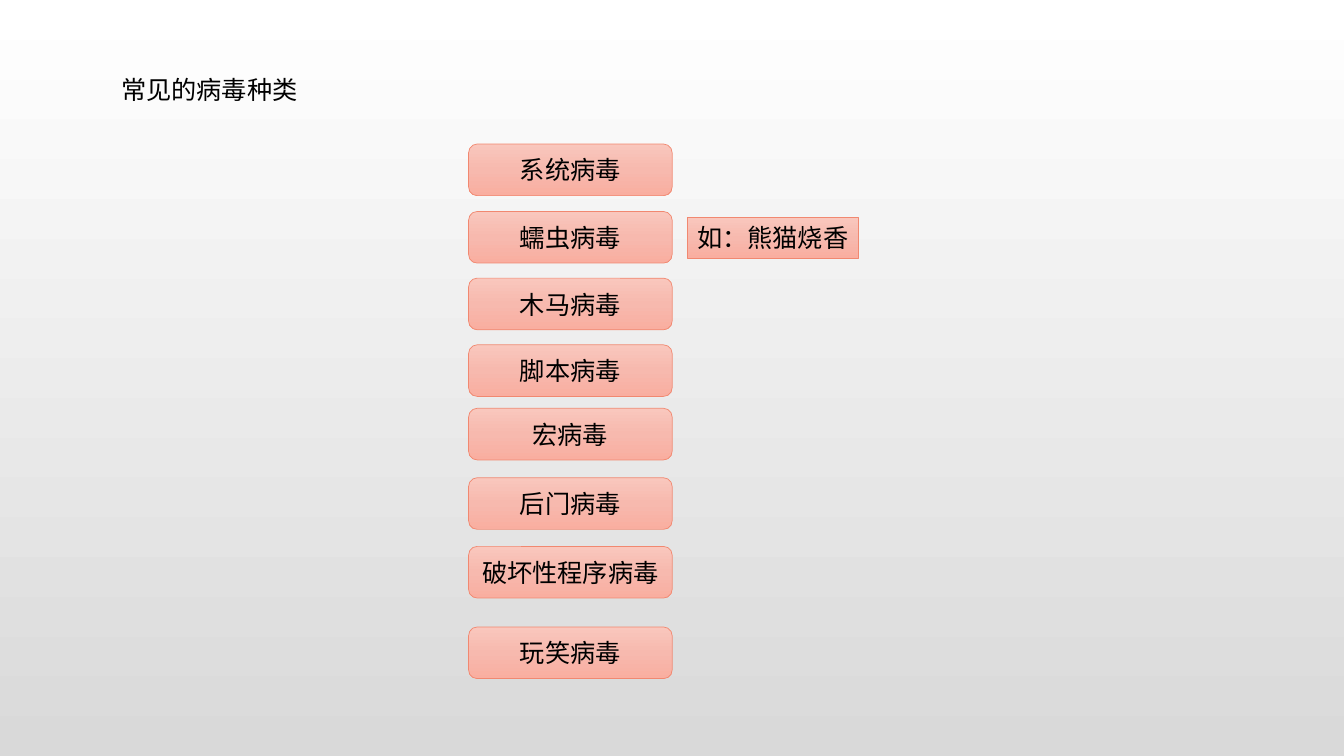
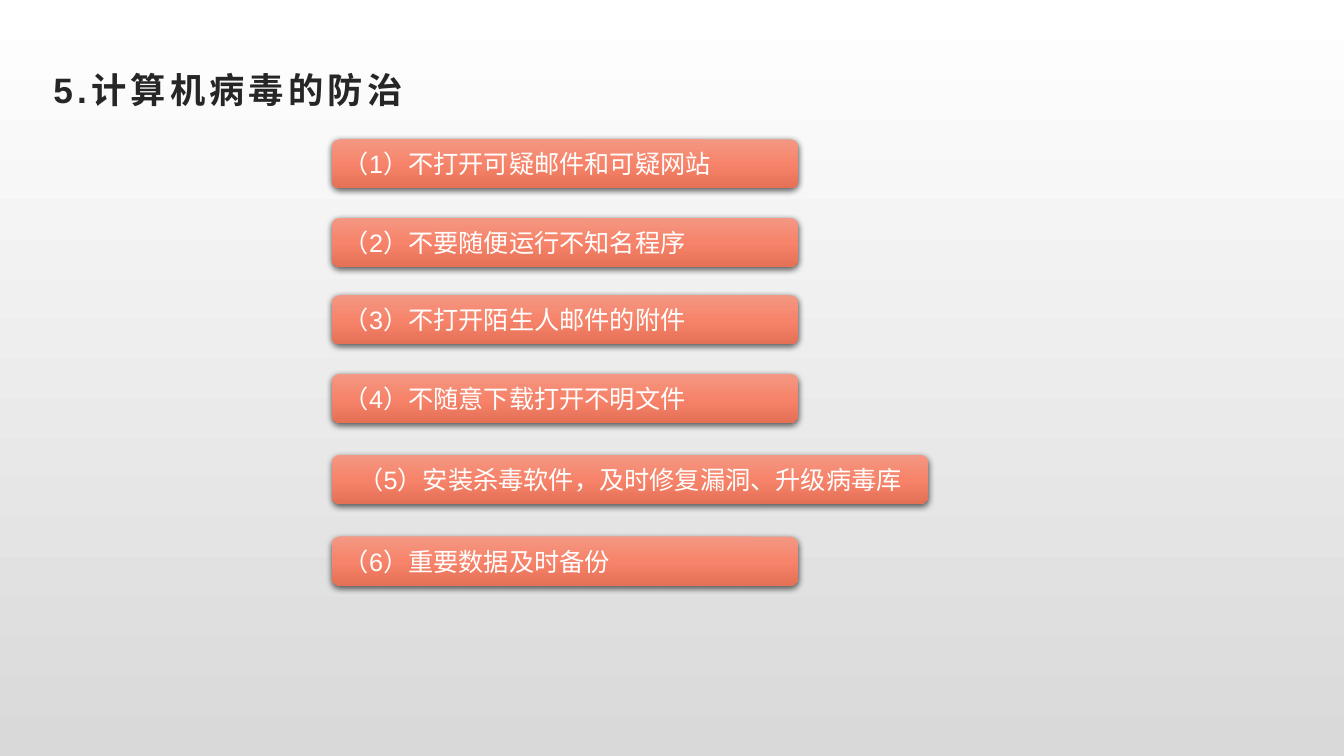
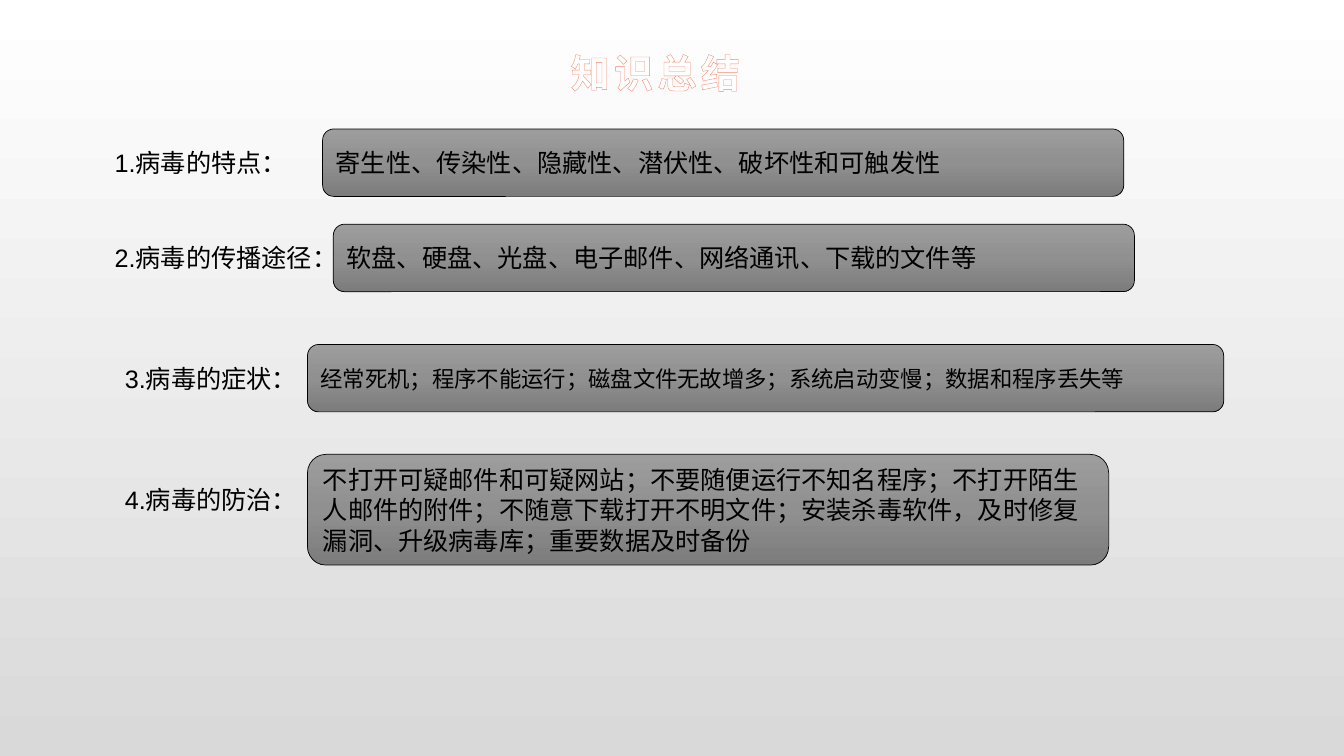
from copy import deepcopy
from dataclasses import dataclass
from typing import Optional

from pptx import Presentation
from pptx.dml.color import RGBColor
from pptx.enum.lang import MSO_LANGUAGE_ID as Lang
from pptx.enum.shapes import MSO_SHAPE as Preset
from pptx.enum.text import MSO_ANCHOR as Anchor, MSO_AUTO_SIZE as AutoSize, PP_ALIGN as Align
from pptx.oxml import parse_xml
from pptx.oxml.ns import nsdecls, qn
from pptx.util import Cm, Pt

# Colours
BLACK = RGBColor(0x00, 0x00, 0x00)
WHITE = RGBColor(0xFF, 0xFF, 0xFF)
CHARCOAL = RGBColor(0x26, 0x26, 0x26)
SILVER = RGBColor(0xD9, 0xD9, 0xD9)
CORAL = RGBColor(0xF1, 0x88, 0x70)
PAGE = (WHITE, SILVER)
PALE_CORAL = (RGBColor(0xF9, 0xC7, 0xBD), RGBColor(0xF7, 0xB9, 0xAE), RGBColor(0xF9, 0xAE, 0xA0))
STRONG_CORAL = (RGBColor(0xF4, 0x97, 0x83), RGBColor(0xF7, 0x84, 0x6A), RGBColor(0xE4, 0x70, 0x56))
GREY = (RGBColor(0x9D, 0x9D, 0x9D), RGBColor(0x90, 0x90, 0x90), RGBColor(0x7C, 0x7C, 0x7C))

FONT = "Arial"
BODY_SIZE = 18
TITLE_ONLY = 5


@dataclass(frozen=True)
class Box:
    """Place of a part, in centimetres."""
    left: float
    top: float
    width: float
    height: float

    def lengths(self):
        return Cm(self.left), Cm(self.top), Cm(self.width), Cm(self.height)


@dataclass(frozen=True)
class TextStyle:
    color: RGBColor = BLACK
    size: float = BODY_SIZE
    align: Align = Align.LEFT
    bold: bool = False
    spacing: float = 0
    outline: Optional[RGBColor] = None


@dataclass(frozen=True)
class PanelStyle:
    stops: tuple
    preset: Preset = Preset.FLOWCHART_ALTERNATE_PROCESS
    line: Optional[RGBColor] = None
    shadow: bool = False


@dataclass(frozen=True)
class SummaryRow:
    label: str
    label_box: Box
    answer: str
    answer_box: Box
    size: float = BODY_SIZE


KIND_PANEL = PanelStyle(PALE_CORAL, line=CORAL)
EXAMPLE_PANEL = PanelStyle(PALE_CORAL, Preset.RECTANGLE, CORAL)
ADVICE_PANEL = PanelStyle(STRONG_CORAL, Preset.ROUNDED_RECTANGLE, shadow=True)
ANSWER_PANEL = PanelStyle(GREY, line=BLACK)

# Content
VIRUS_KINDS = (
    ("系统病毒", 3.63), ("蠕虫病毒", 5.33), ("木马病毒", 7.01), ("脚本病毒", 8.69),
    ("宏病毒", 10.29), ("后门病毒", 12.04), ("破坏性程序病毒", 13.77), ("玩笑病毒", 15.8),
)
NARROW, WIDE = 11.76, 15.04
ADVICE = (
    ("不打开可疑邮件和可疑网站", 3.51, NARROW),
    ("不要随便运行不知名程序", 5.49, NARROW),
    ("不打开陌生人邮件的附件", 7.44, NARROW),
    ("不随意下载打开不明文件", 9.42, NARROW),
    ("安装杀毒软件，及时修复漏洞、升级病毒库", 11.46, WIDE),
    ("重要数据及时备份", 13.52, NARROW),
)
SUMMARY = (
    SummaryRow("病毒的特点", Box(2.64, 3.58, 4.85, 1.02),
               "寄生性、传染性、隐藏性、潜伏性、破坏性和可触发性",
               Box(8.13, 3.25, 20.19, 1.7)),
    SummaryRow("病毒的传播途径", Box(2.64, 5.99, 6.12, 1.02),
               "软盘、硬盘、光盘、电子邮件、网络通讯、下载的文件等",
               Box(8.4, 5.65, 20.19, 1.7)),
    SummaryRow("病毒的症状", Box(2.9, 9.02, 4.85, 1.02),
               "经常死机；程序不能运行；磁盘文件无故增多；系统启动变慢；数据和程序丢失等",
               Box(7.75, 8.68, 23.09, 1.7), 16),
    SummaryRow("病毒的防治", Box(2.9, 12.09, 4.85, 1.02),
               "；".join(text for text, _, _ in ADVICE),
               Box(7.75, 11.45, 20.19, 2.79)),
)


def paint_gradient(fill, owner, colors: tuple) -> None:
    """Fill from top to bottom with evenly spaced colours."""
    fill.gradient()
    fill.gradient_angle = 270
    stop_list = owner.find(".//" + qn("a:gsLst"))
    while len(stop_list) < len(colors):
        stop_list.append(deepcopy(stop_list[-1]))
    for index, (stop, color) in enumerate(zip(fill.gradient_stops, colors)):
        stop.position = index / (len(colors) - 1)
        stop.color.rgb = color


def write(shape, text: str, style: TextStyle, anchor: Anchor, wrap: bool = True) -> None:
    frame = shape.text_frame
    frame.word_wrap = wrap
    frame.auto_size = AutoSize.NONE if wrap else AutoSize.SHAPE_TO_FIT_TEXT
    frame.vertical_anchor = anchor
    paragraph = frame.paragraphs[0]
    paragraph.alignment = style.align
    font = paragraph.font
    font.name, font.size, font.bold = FONT, Pt(style.size), style.bold
    font.color.rgb = style.color
    run = paragraph.add_run()
    run.text = text
    run.font.language_id = Lang.SIMPLIFIED_CHINESE
    # Letter spacing and outline have no public setter
    properties = run._r.get_or_add_rPr()
    if style.spacing:
        properties.set("spc", str(round(style.spacing * 100)))
    if style.outline is not None:
        properties.insert(0, parse_xml(
            f'<a:ln {nsdecls("a")} w="{Pt(0.8)}"><a:solidFill>'
            f'<a:srgbClr val="{style.outline}"/></a:solidFill></a:ln>'))


def add_panel(slide, box: Box, text: str, panel: PanelStyle, style: TextStyle,
              anchor: Anchor = Anchor.MIDDLE, wrap: bool = True) -> None:
    shape = slide.shapes.add_shape(panel.preset, *box.lengths())
    properties = shape._element.spPr
    paint_gradient(shape.fill, properties, panel.stops)
    if panel.line is None:
        shape.line.fill.background()
    else:
        shape.line.color.rgb = panel.line
        shape.line.width = Pt(0.5)
    shape.shadow.inherit = False
    if panel.shadow:
        properties.find(qn("a:effectLst")).append(parse_xml(
            f'<a:outerShdw {nsdecls("a")} blurRad="{Pt(4.5)}" dist="{Pt(1.5)}" dir="5400000" '
            'algn="ctr" rotWithShape="0"><a:srgbClr val="000000"><a:alpha val="63000"/>'
            '</a:srgbClr></a:outerShdw>'))
    write(shape, text, style, anchor, wrap)


def add_label(slide, box: Box, text: str) -> None:
    write(slide.shapes.add_textbox(*box.lengths()), text, TextStyle(), Anchor.TOP, wrap=False)


def add_titled_slide(deck, title: str, box: Box, style: TextStyle,
                     anchor: Anchor = Anchor.BOTTOM):
    slide = deck.slides.add_slide(deck.slide_layouts[TITLE_ONLY])
    heading = slide.shapes.title
    heading.left, heading.top, heading.width, heading.height = box.lengths()
    write(heading, title, style, anchor)
    return slide


def add_kinds_slide(deck) -> None:
    slide = add_titled_slide(deck, "常见的病毒种类", Box(2.8, 1.75, 5.5, 1.02),
                             TextStyle(), Anchor.TOP)
    for kind, top in VIRUS_KINDS:
        add_panel(slide, Box(11.81, top, 5.13, 1.3), kind, KIND_PANEL,
                  TextStyle(align=Align.CENTER))
    add_panel(slide, Box(17.32, 5.49, 4.32, 1.02), "如：熊猫烧香", EXAMPLE_PANEL,
              TextStyle(), Anchor.TOP, wrap=False)


def add_advice_slide(deck) -> None:
    slide = add_titled_slide(deck, "5.计算机病毒的防治", Box(1.09, 1.47, 27.23, 1.45),
                             TextStyle(CHARCOAL, 25.2, bold=True, spacing=3))
    for number, (advice, top, width) in enumerate(ADVICE, start=1):
        align = Align.CENTER if width == WIDE else Align.LEFT
        add_panel(slide, Box(8.36, top, width, 1.24), f"（{number}）{advice}",
                  ADVICE_PANEL, TextStyle(WHITE, align=align))


def add_summary_slide(deck) -> None:
    slide = add_titled_slide(deck, "知识总结", Box(2.9, 0.94, 27.23, 1.6),
                             TextStyle(WHITE, 28, Align.CENTER, True, 3, CORAL))
    for number, row in enumerate(SUMMARY, start=1):
        add_label(slide, row.label_box, f"{number}.{row.label}：")
        add_panel(slide, row.answer_box, row.answer, ANSWER_PANEL, TextStyle(size=row.size))


def main() -> None:
    deck = Presentation()
    deck.slide_width, deck.slide_height = Cm(33.87), Cm(19.05)
    # Shared page background
    master = deck.slide_master
    paint_gradient(master.background.fill, master._element, PAGE)
    add_kinds_slide(deck)
    add_advice_slide(deck)
    add_summary_slide(deck)
    deck.save("out.pptx")


if __name__ == "__main__":
    main()
